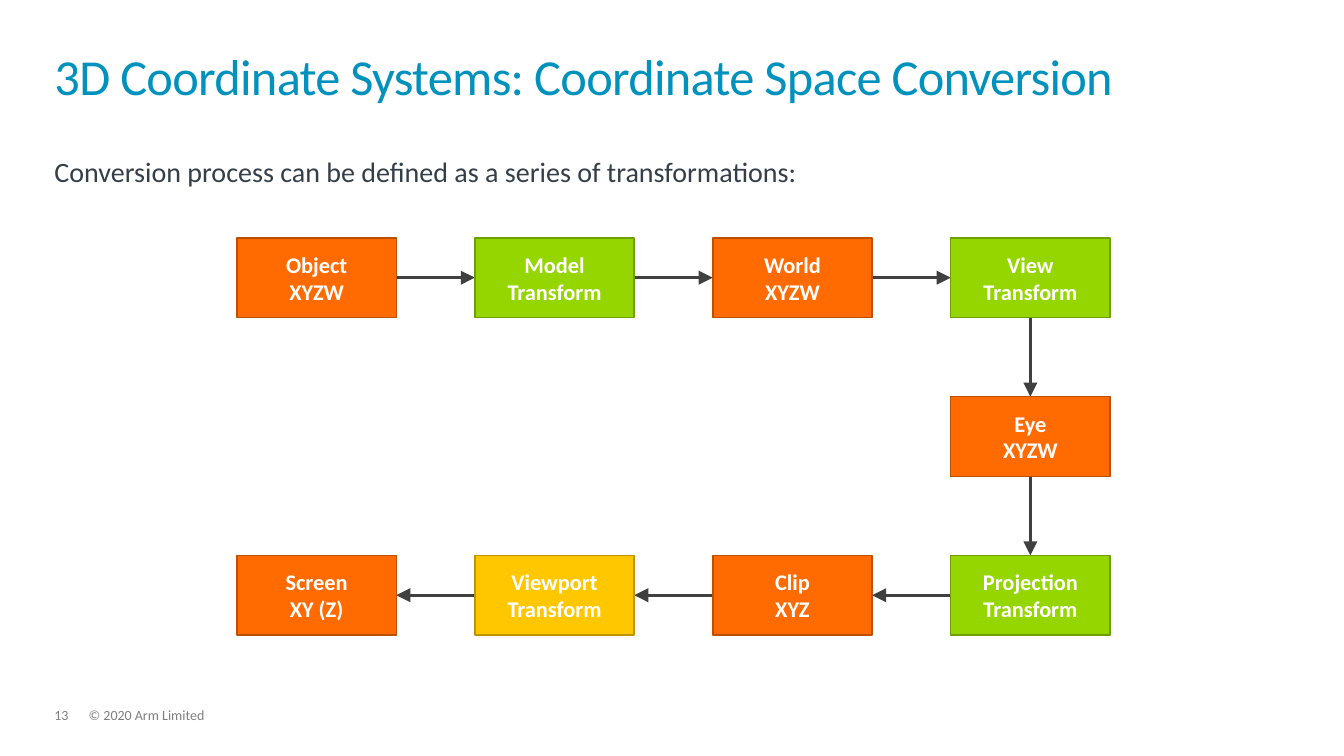
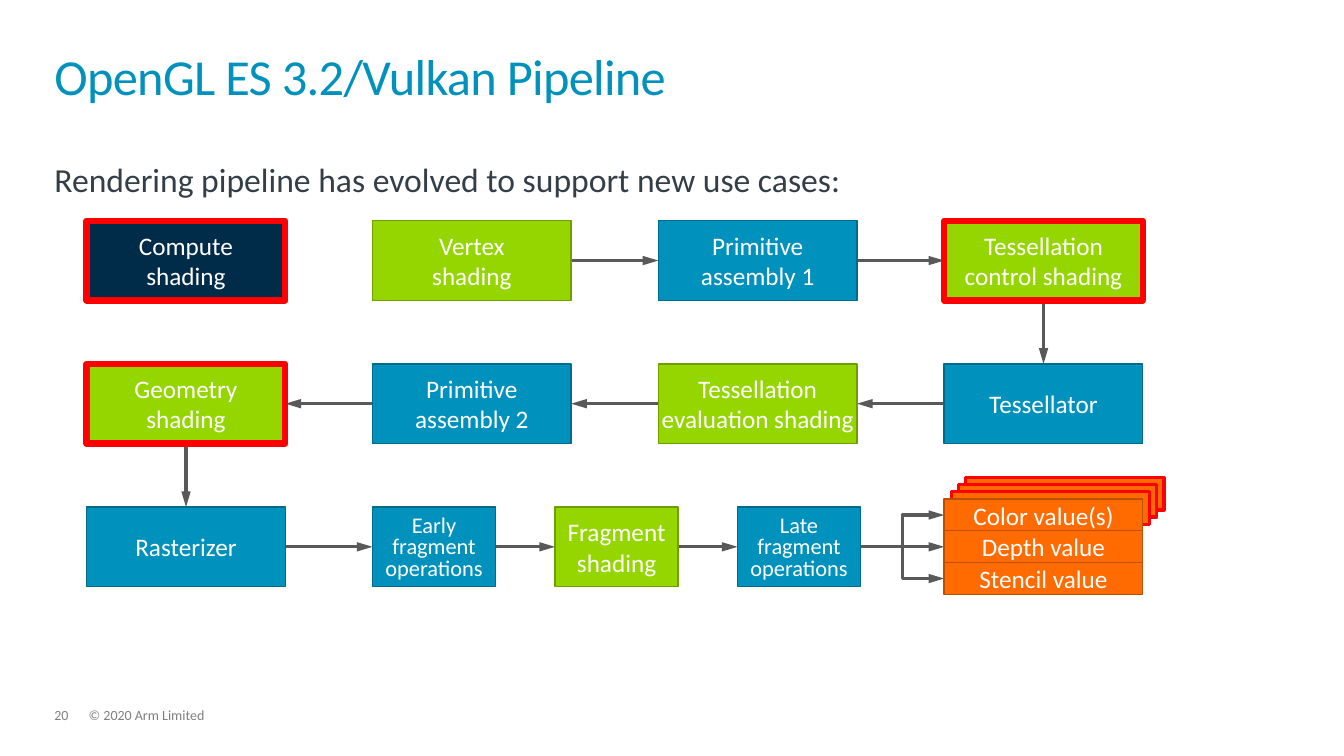
from copy import deepcopy

from lxml import etree
from pptx import Presentation
from pptx.dml.color import RGBColor
from pptx.enum.shapes import MSO_CONNECTOR, MSO_SHAPE
from pptx.enum.text import MSO_ANCHOR, MSO_AUTO_SIZE, PP_ALIGN
from pptx.oxml.ns import qn
from pptx.util import Inches, Pt

RECT = MSO_SHAPE.RECTANGLE
STRAIGHT, ELBOW = MSO_CONNECTOR.STRAIGHT, MSO_CONNECTOR.ELBOW
TOP, MIDDLE, BOTTOM = MSO_ANCHOR.TOP, MSO_ANCHOR.MIDDLE, MSO_ANCHOR.BOTTOM
LEFT, CENTER = PP_ALIGN.LEFT, PP_ALIGN.CENTER
NO_FIT = MSO_AUTO_SIZE.NONE
SITE_TOP, SITE_LEFT, SITE_BOTTOM, SITE_RIGHT = range(4)
RIGHTWARD = (SITE_RIGHT, SITE_LEFT)
LEFTWARD = (SITE_LEFT, SITE_RIGHT)
DOWNWARD = (SITE_BOTTOM, SITE_TOP)

FONT = "Calibri"
WHITE, INK, GREY, RED = "FFFFFF", "333E48", "7F7F7F", "FF0000"
ORANGE, GREEN, YELLOW, BLUE, NAVY = "FF6B00", "95D600", "FFC700", "0091BD", "002B49"
EDGES = {ORANGE: "BD4F00", GREEN: "6E9E00", YELLOW: "BD9300", BLUE: "006B8C"}
MARGIN, CONTENT_W = 0.54, 12.23
BOX_H = 0.79


def rgb(value):
    return RGBColor.from_string(value)


def place(shape, x, y, w, h):
    shape.left, shape.top, shape.width, shape.height = map(Inches, (x, y, w, h))


def write(shape, text, size, color, bold=False, align=LEFT, anchor=TOP,
          spacing=1.0, inset=(0, 0, 0, 0)):
    tf = shape.text_frame
    tf.word_wrap = True
    tf.auto_size = NO_FIT
    tf.vertical_anchor = anchor
    tf.margin_left, tf.margin_top, tf.margin_right, tf.margin_bottom = map(Inches, inset)
    p = tf.paragraphs[0]
    p.text = text
    p.alignment = align
    p.line_spacing = spacing
    p.space_before = Pt(0)
    for r in p.runs:
        r.font.name = FONT
        r.font.size = Pt(size)
        r.font.bold = bold
        r.font.color.rgb = rgb(color)
    for br in p._p.findall(qn("a:br")):
        br.append(deepcopy(p.runs[0]._r.rPr))
    return p


def add_footer(s, x, w, text):
    tb = s.shapes.add_textbox(Inches(x), Inches(7.03), Inches(w), Inches(0.15))
    write(tb, text, 10, GREY, spacing=0.9)


def new_slide(prs, number, title, lead, lead_top, lead_size):
    s = prs.slides.add_slide(prs.slide_layouts[1])
    place(s.shapes.title, MARGIN, 0.32, CONTENT_W, 0.73)
    p = write(s.shapes.title, title, 36, BLUE, anchor=BOTTOM, spacing=0.85)
    p.runs[0]._r.rPr.set("spc", "-50")
    body = s.placeholders[1]
    place(body, MARGIN, lead_top, CONTENT_W, 0.51)
    p = write(body, lead, lead_size, INK, spacing=0.9)
    pPr = p._p.get_or_add_pPr()
    pPr.set("marL", "0")
    pPr.set("indent", "0")
    etree.SubElement(pPr, qn("a:buNone"))
    add_footer(s, MARGIN, 0.34, number)
    add_footer(s, 0.88, 9.13, "© 2020 Arm Limited")
    return s


def add_box(s, x, y, w, h, fill, edge=None, edge_width=1):
    sp = s.shapes.add_shape(RECT, Inches(x), Inches(y), Inches(w), Inches(h))
    sp.shadow.inherit = False
    sp.fill.solid()
    sp.fill.fore_color.rgb = rgb(fill)
    sp.line.color.rgb = rgb(edge or EDGES[fill])
    sp.line.width = Pt(edge_width)
    return sp


def add_arrow(s, start, end, sites, color, width, head_width, kind=STRAIGHT):
    c = s.shapes.add_connector(kind, 0, 0, 0, 0)
    c.begin_connect(start, sites[0])
    c.end_connect(end, sites[1])
    c.line.color.rgb = rgb(color)
    c.line.width = Pt(width)
    etree.SubElement(c.line._get_or_add_ln(), qn("a:tailEnd"),
                     type="triangle", w=head_width, len="lg")
    etree.SubElement(c._element.spPr, qn("a:effectLst"))
    s.shapes._spTree.insert(2, c._element)


def add_conversion_slide(prs):
    s = new_slide(prs, "13", "3D Coordinate Systems: Coordinate Space Conversion",
                  "Conversion process can be defined as a series of transformations:", 1.57, 20)
    steps = [
        ("Object\nXYZW", ORANGE, 0, 0, RIGHTWARD),
        ("Model\nTransform", GREEN, 1, 0, RIGHTWARD),
        ("World\nXYZW", ORANGE, 2, 0, RIGHTWARD),
        ("View Transform", GREEN, 3, 0, DOWNWARD),
        ("Eye\nXYZW", ORANGE, 3, 1, DOWNWARD),
        ("Projection Transform", GREEN, 3, 2, LEFTWARD),
        ("Clip\nXYZ", ORANGE, 2, 2, LEFTWARD),
        ("Viewport\nTransform", YELLOW, 1, 2, LEFTWARD),
        ("Screen\nXY (Z)", ORANGE, 0, 2, None),
    ]
    boxes = []
    for text, fill, col, row, _ in steps:
        box = add_box(s, 2.35 + 2.36 * col, 2.36 + 1.575 * row, 1.58, BOX_H, fill)
        write(box, text, 16, WHITE, True, CENTER, MIDDLE, inset=(0.1, 0.05, 0.1, 0.05))
        boxes.append(box)
    for step, start, end in zip(steps, boxes, boxes[1:]):
        add_arrow(s, start, end, step[4], "404040", 2, "lg")


def add_stage(s, text, fill, x, y, w=1.97, h=BOX_H, new=False):
    box = add_box(s, x, y, w, h, fill, RED if new else None, 4.5 if new else 1)
    write(box, text, 18, WHITE, align=CENTER, anchor=MIDDLE, inset=(0, 0.05, 0, 0.05))
    return box


def add_operations(s, text, x, y, w):
    box = add_box(s, x, y, w, BOX_H, BLUE)
    write(box, text, 16, WHITE, align=CENTER, anchor=MIDDLE, spacing=0.8,
          inset=(0.04, 0.08, 0.04, 0.05))
    return box


def add_outputs(s, x, y):
    for depth in (3, 2, 1):
        shift = 0.07 * depth
        add_box(s, x + shift, y - shift, 1.97, 0.32, ORANGE, RED, 2.25)
    names = ("Color value(s)", "Depth value", "Stencil value")
    return [add_stage(s, name, ORANGE, x, y + 0.315 * i, h=0.32)
            for i, name in enumerate(names)]


def add_pipeline_slide(prs):
    s = new_slide(prs, "20", "OpenGL ES 3.2/Vulkan Pipeline",
                  "Rendering pipeline has evolved to support new use cases:", 1.62, 24)
    cols = [0.86 + 2.835 * i for i in range(4)]
    rows = [2.19 + 1.42 * i for i in range(3)]
    small_cols = [cols[1] + 1.81 * i for i in range(3)]
    small_w = 1.22

    add_stage(s, "Compute\nshading", NAVY, cols[0], rows[0], new=True)
    stages = [
        ("Vertex\nshading", GREEN, 1, 0, False),
        ("Primitive\nassembly 1", BLUE, 2, 0, False),
        ("Tessellation\ncontrol shading", GREEN, 3, 0, True),
        ("Tessellator", BLUE, 3, 1, False),
        ("Tessellation\nevaluation shading", GREEN, 2, 1, False),
        ("Primitive\nassembly 2", BLUE, 1, 1, False),
        ("Geometry\nshading", GREEN, 0, 1, True),
        ("Rasterizer", BLUE, 0, 2, False),
    ]
    chain = [add_stage(s, text, fill, cols[col], rows[row], new=new)
             for text, fill, col, row, new in stages]
    chain += [
        add_operations(s, "Early\nfragment operations", small_cols[0], rows[2], small_w),
        add_stage(s, "Fragment\nshading", GREEN, small_cols[1], rows[2], small_w),
        add_operations(s, "Late\nfragment operations", small_cols[2], rows[2], small_w),
    ]
    directions = ([RIGHTWARD] * 2 + [DOWNWARD] + [LEFTWARD] * 3
                  + [DOWNWARD] + [RIGHTWARD] * 3)
    links = [(*link, STRAIGHT) for link in zip(chain, chain[1:], directions)]
    outputs = add_outputs(s, cols[3], 4.95)
    links += [(chain[-1], output, RIGHTWARD, kind)
              for output, kind in zip(outputs, (ELBOW, STRAIGHT, ELBOW))]
    for start, end, sites, kind in links:
        add_arrow(s, start, end, sites, "595959", 2.25, "med", kind)


def main():
    prs = Presentation()
    prs.slide_width, prs.slide_height = Inches(13.33), Inches(7.5)
    add_conversion_slide(prs)
    add_pipeline_slide(prs)
    prs.save("out.pptx")


if __name__ == "__main__":
    main()
